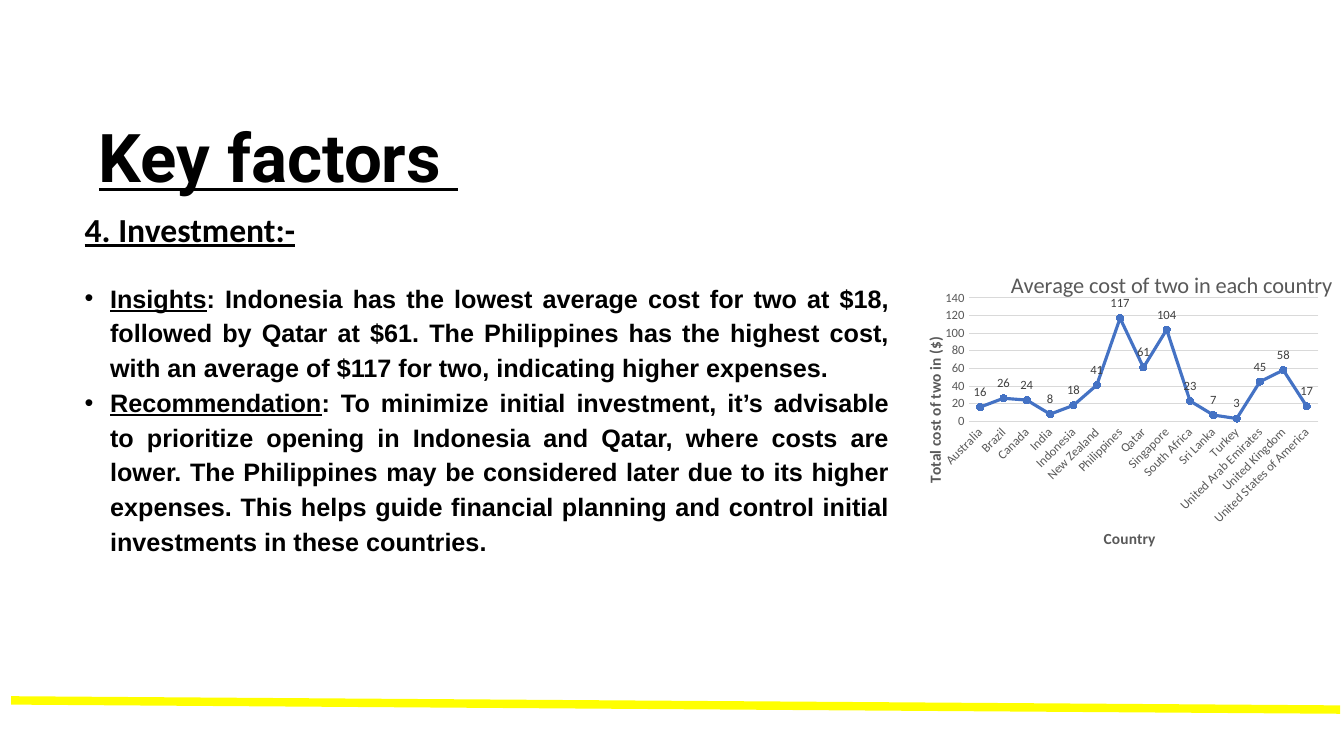
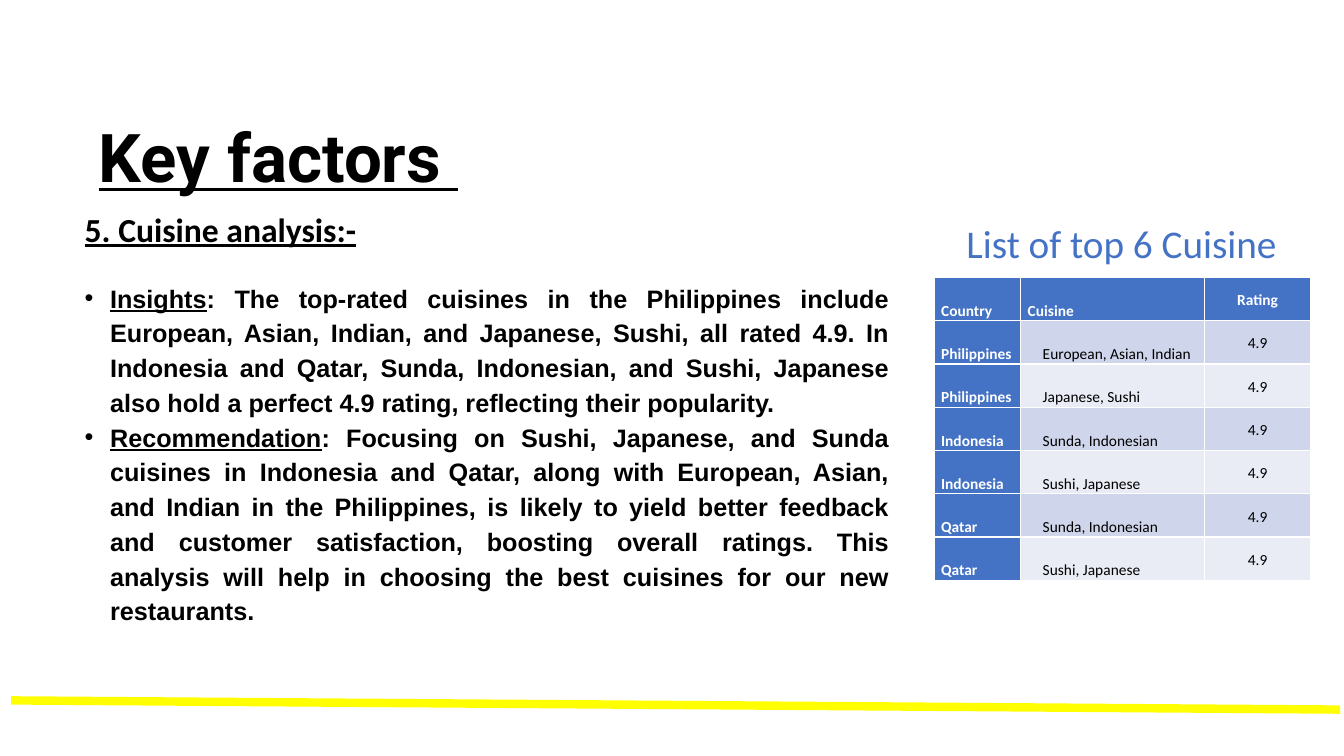
from lxml import etree
from pptx import Presentation
from pptx.chart.data import CategoryChartData
from pptx.dml.color import RGBColor
from pptx.enum import chart as ch, shapes, text
from pptx.oxml import parse_xml
from pptx.oxml.ns import nsdecls, qn
from pptx.util import Cm, Pt

BLACK = RGBColor(0x00, 0x00, 0x00)
WHITE = RGBColor(0xFF, 0xFF, 0xFF)
YELLOW = RGBColor(0xFF, 0xFF, 0x00)
BLUE = RGBColor(0x44, 0x72, 0xC4)
BANDS = RGBColor(0xCF, 0xD5, 0xEA), RGBColor(0xE9, 0xEB, 0xF5)
GRAY = RGBColor(0x59, 0x59, 0x59)
DARK_GRAY = RGBColor(0x40, 0x40, 0x40)
LIGHT_GRAY = RGBColor(0xD9, 0xD9, 0xD9)

LINE_SPACING = 1.15

COSTS = {
    "Australia": 16, "Brazil": 26, "Canada": 24, "India": 8, "Indonesia": 18,
    "New Zealand": 41, "Philippines": 117, "Qatar": 61, "Singapore": 104,
    "South Africa": 23, "Sri Lanka": 7, "Turkey": 3,
    "United Arab Emirates": 45, "United Kingdom": 58,
    "United States of America": 17,
}

CUISINES = [
    ("Country", "Cuisine", "Rating"),
    ("Philippines", "European, Asian, Indian", "4.9"),
    ("Philippines", "Japanese, Sushi", "4.9"),
    ("Indonesia", "Sunda, Indonesian", "4.9"),
    ("Indonesia", "Sushi, Japanese", "4.9"),
    ("Qatar", "Sunda, Indonesian", "4.9"),
    ("Qatar", "Sushi, Japanese", "4.9"),
]

INVESTMENT = [
    ("Insights", ": Indonesia has the lowest average cost for two at $18, "
     "followed by Qatar at $61. The Philippines has the highest cost, with an "
     "average of $117 for two, indicating higher expenses."),
    ("Recommendation", ": To minimize initial investment, it’s advisable to "
     "prioritize opening in Indonesia and Qatar, where costs are lower. The "
     "Philippines may be considered later due to its higher expenses. This "
     "helps guide financial planning and control initial investments in these "
     "countries."),
]

CUISINE_ANALYSIS = [
    ("Insights", ": The top-rated cuisines in the Philippines include "
     "European, Asian, Indian, and Japanese, Sushi, all rated 4.9. In "
     "Indonesia and Qatar, Sunda, Indonesian, and Sushi, Japanese also hold a "
     "perfect 4.9 rating, reflecting their popularity."),
    ("Recommendation", ": Focusing on Sushi, Japanese, and Sunda cuisines in "
     "Indonesia and Qatar, along with European, Asian, and Indian in the "
     "Philippines, is likely to yield better feedback and customer "
     "satisfaction, boosting overall ratings. This analysis will help in "
     "choosing the best cuisines for our new restaurants."),
]


def style(font, size, color, bold=False, underline=False, name="Calibri"):
    font.name, font.size, font.bold = name, Pt(size), bold
    font.underline = underline
    font.color.rgb = color


def place(sp, left, top, width, height):
    sp.left, sp.top, sp.width, sp.height = map(Cm, (left, top, width, height))


def set_bullet(p, char=None, indent=0):
    """Hang the paragraph on a bullet, or remove the inherited one."""
    pPr = p._p.get_or_add_pPr()
    pPr.set("marL", str(Cm(indent)))
    pPr.set("indent", str(-Cm(indent)))
    if char:
        etree.SubElement(pPr, qn("a:buFont")).set("typeface", "Arial")
        etree.SubElement(pPr, qn("a:buChar")).set("char", char)
    else:
        etree.SubElement(pPr, qn("a:buNone"))


def add_yellow_line(s):
    line = s.shapes.add_connector(shapes.MSO_CONNECTOR.STRAIGHT,
                                  Cm(0.28), Cm(17.65), Cm(33.76), Cm(17.88))
    line.line.color.rgb = YELLOW
    line.line.width = Pt(6)
    etree.SubElement(line._element.spPr, qn("a:effectLst"))


def fill_body(sp, heading, points):
    place(sp, 1.88, 5.13, 20.78, 11.7)
    tf = sp.text_frame
    tf.auto_size = text.MSO_AUTO_SIZE.NONE
    tf.text = heading
    p = tf.paragraphs[0]
    p.space_after = Pt(21)
    set_bullet(p)
    style(p.runs[0].font, 24, BLACK, bold=True, underline=True)
    for label, detail in points:
        p = tf.add_paragraph()
        p.line_spacing = LINE_SPACING
        set_bullet(p, "•", 0.64)
        for part, underline in ((label, True), (detail, False)):
            r = p.add_run()
            r.text = part
            style(r.font, 18, BLACK, True, underline, "Arial")
    for p in tf.paragraphs:
        p.alignment = text.PP_ALIGN.JUSTIFY
        p.space_before = Pt(0)


def add_factor_slide(prs, heading, points):
    """Add a slide with the shared title, body text and yellow line."""
    s = prs.slides.add_slide(prs.slide_layouts[1])
    title, body = s.placeholders
    place(title, 2.24, 2.77, 29.77, 2.31)
    tf = title.text_frame
    tf.auto_size = text.MSO_AUTO_SIZE.NONE
    tf.text = "Key factors "
    p = tf.paragraphs[0]
    p.alignment = text.PP_ALIGN.LEFT
    style(p.runs[0].font, 48, BLACK, True, True, "Roboto")
    fill_body(body, heading, points)
    add_yellow_line(s)
    return s


def layout_xml(x, y, w=None, h=None):
    """Manual chart layout in fractions of the chart's size."""
    target = '<c:layoutTarget val="inner"/>' if w else ""
    size = f'<c:w val="{w}"/><c:h val="{h}"/>' if w else ""
    return parse_xml(
        f'<c:layout {nsdecls("c")}><c:manualLayout>{target}'
        f'<c:xMode val="edge"/><c:yMode val="edge"/>'
        f'<c:x val="{x}"/><c:y val="{y}"/>{size}</c:manualLayout></c:layout>')


def set_layout(element, layout):
    for old in element.findall(qn("c:layout")):
        element.remove(old)
    tx = element.find(qn("c:tx"))
    element.insert(0 if tx is None else element.index(tx) + 1, layout)


def set_chart_title(owner, caption, size, bold, x, y):
    """Title a chart or an axis at a fixed place."""
    title = owner.chart_title if hasattr(owner, "chart_title") else owner.axis_title
    title.text_frame.text = caption
    style(title.text_frame.paragraphs[0].runs[0].font, size, GRAY, bold)
    set_layout(title._element, layout_xml(x, y))


def format_axes(chart):
    category, value = chart.category_axis, chart.value_axis
    for axis in (category, value):
        axis.major_tick_mark = axis.minor_tick_mark = ch.XL_TICK_MARK.NONE
        style(axis.tick_labels.font, 9, GRAY)
    category.format.line.color.rgb = LIGHT_GRAY
    category.tick_labels.font._element.getparent().getparent().getparent().find(
        qn("a:bodyPr")).set("rot", "-2700000")
    value.format.line.fill.background()
    value.major_gridlines.format.line.color.rgb = LIGHT_GRAY
    value.major_gridlines.format.line.width = Pt(0.75)
    value.minimum_scale, value.maximum_scale, value.major_unit = 0, 140, 20
    set_chart_title(category, "Country", 11, True, 0.43, 0.91)
    set_chart_title(value, "Total cost of two in ($)", 11, True, 0.01, 0.32)


def format_series(series):
    series.smooth = False
    series.format.line.color.rgb = BLUE
    series.format.line.width = Pt(2.25)
    series.marker.style = ch.XL_MARKER_STYLE.CIRCLE
    series.marker.size = 5
    series.marker.format.fill.solid()
    series.marker.format.fill.fore_color.rgb = BLUE
    series.marker.format.line.color.rgb = BLUE
    labels = series.data_labels
    labels.show_value = True
    labels.position = ch.XL_LABEL_POSITION.ABOVE
    style(labels.font, 9, DARK_GRAY)


def add_cost_chart(s):
    data = CategoryChartData(number_format="0")
    data.categories = list(COSTS)
    data.add_series("Series 1", list(COSTS.values()))
    chart = s.shapes.add_chart(ch.XL_CHART_TYPE.LINE_MARKERS, Cm(23.11),
                               Cm(5.79), Cm(10.75), Cm(8.18), data).chart
    style(chart.font, 10, BLACK)
    chart.has_legend = False
    chart.plots[0].vary_by_categories = False
    set_chart_title(chart, "Average cost of two in each country", 16, False,
                    0.21, 0.11)
    set_layout(chart._chartSpace.chart.plotArea,
               layout_xml(0.12, 0.21, 0.82, 0.38))
    format_axes(chart)
    format_series(chart.plots[0].series[0])


def fill_cell(cell, content, row, column):
    is_head = row == 0 or column == 0
    cell.fill.solid()
    cell.fill.fore_color.rgb = BLUE if is_head else BANDS[(row - 1) % 2]
    cell.margin_left = cell.margin_right = Cm(0.18)
    cell.margin_top = cell.margin_bottom = 0
    cell.vertical_anchor = text.MSO_ANCHOR.BOTTOM
    cell.text = content
    p = cell.text_frame.paragraphs[0]
    p.line_spacing = LINE_SPACING
    style(p.runs[0].font, 11, WHITE if is_head else BLACK, is_head)
    if column == 2:
        cell.vertical_anchor = text.MSO_ANCHOR.MIDDLE
        p.alignment = text.PP_ALIGN.CENTER
    elif not is_head:
        p._p.get_or_add_pPr().set("indent", str(Cm(0.38)))


def add_cuisine_table(s):
    widths = 2.18, 4.63, 2.69
    row_height = 1.09
    table = s.shapes.add_table(
        len(CUISINES), len(widths), Cm(23.53), Cm(6.99), Cm(sum(widths)),
        Cm(row_height * len(CUISINES))).table
    table.first_col = True
    for column, width in zip(table.columns, widths):
        column.width = Cm(width)
    for i, row in enumerate(CUISINES):
        table.rows[i].height = Cm(row_height)
        for j, content in enumerate(row):
            fill_cell(table.cell(i, j), content, i, j)


def add_table_caption(s):
    tf = s.shapes.add_textbox(Cm(24.05), Cm(5.41), Cm(8.41), Cm(1.45)).text_frame
    tf.word_wrap = False
    tf.text = "List of top 6 Cuisine"
    p = tf.paragraphs[0]
    p.alignment = text.PP_ALIGN.CENTER
    style(p.runs[0].font, 28, BLUE)


def main():
    prs = Presentation()
    prs.slide_width, prs.slide_height = Cm(33.86), Cm(19.05)
    add_cost_chart(add_factor_slide(prs, "4. Investment:-", INVESTMENT))
    s = add_factor_slide(prs, "5. Cuisine analysis:-", CUISINE_ANALYSIS)
    add_cuisine_table(s)
    add_table_caption(s)
    prs.save("out.pptx")


if __name__ == "__main__":
    main()
